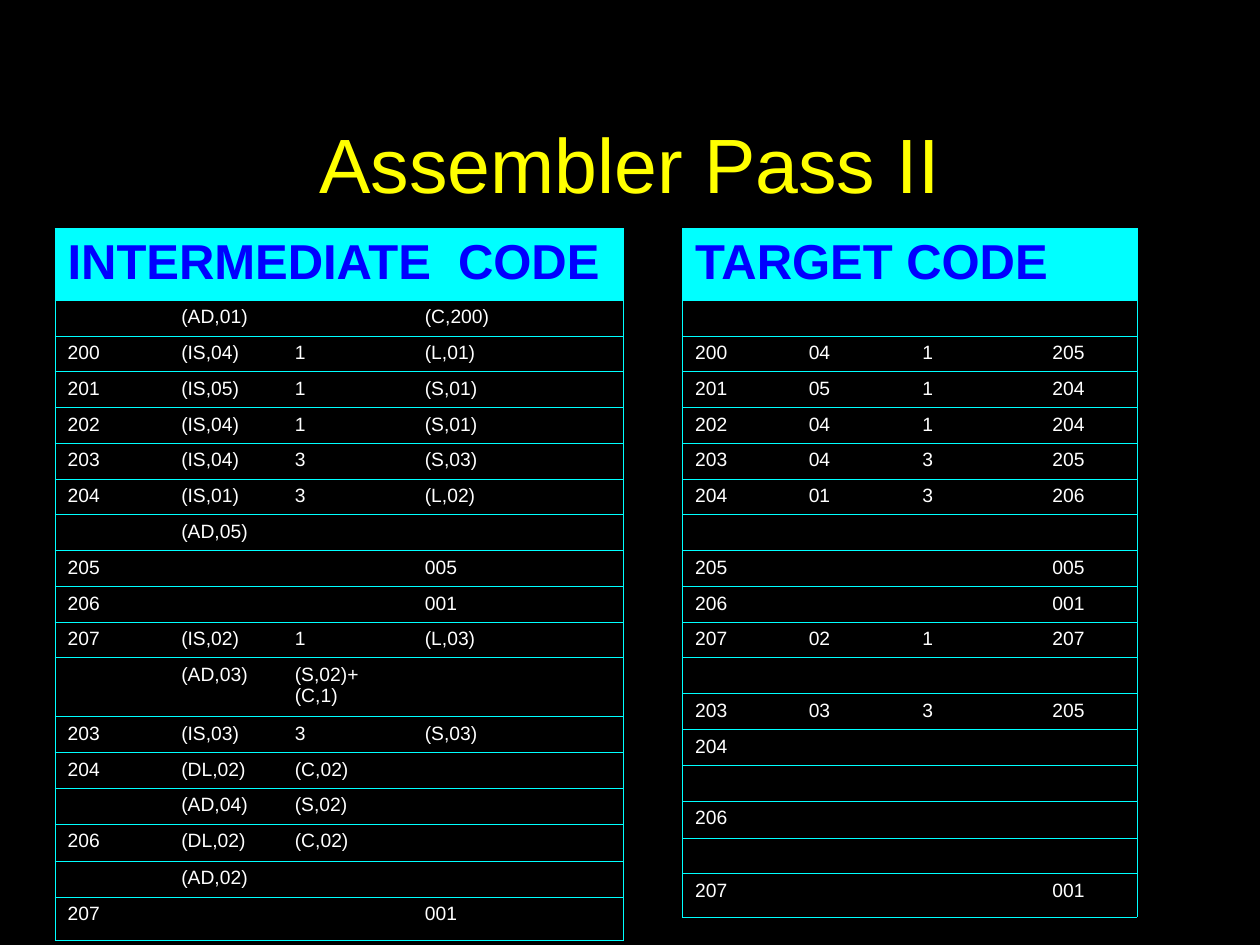
import pptx
import pptx.util
import pptx.dml.color
import pptx.enum.text
import pptx.oxml
import pptx.oxml.ns
from pptx.util import Cm


def color(hex_value):
    return pptx.dml.color.RGBColor.from_string(hex_value)


def write(paragraph, text, font_format):
    run = paragraph.add_run()
    run.text = text
    for name, value in font_format.items():
        if name == "color":
            run.font.color.rgb = color(value)
        else:
            setattr(run.font, name, value)


CYAN = "00FFFF"
TITLE = {"name": "Arial", "size": pptx.util.Pt(44), "color": "FFFF00"}
HEADING = {"name": "Arial", "size": pptx.util.Pt(28), "bold": True, "color": "0000FF"}
BODY = {"name": "Arial", "size": pptx.util.Pt(11), "bold": False, "color": "FFFFFF"}
NO_STYLE = "{2D5ABB26-0587-4C30-8999-92F81FD0307C}"

intermediate = [
    ["", "(AD,01)", "", "(C,200)", ""],
    ["200", "(IS,04)", "1", "(L,01)", ""],
    ["201", "(IS,05)", "1", "(S,01)", ""],
    ["202", "(IS,04)", "1", "(S,01)", ""],
    ["203", "(IS,04)", "3", "(S,03)", ""],
    ["204", "(IS,01)", "3", "(L,02)", ""],
    ["", "(AD,05)", "", "", ""],
    ["205", "", "", "005", ""],
    ["206", "", "", "001", ""],
    ["207", "(IS,02)", "1", "(L,03)", ""],
    ["", "(AD,03)", "(S,02)+(C,1)", "", ""],
    ["203", "(IS,03)", "3", "(S,03)", ""],
    ["204", "(DL,02)", "(C,02)", "", ""],
    ["", "(AD,04)", "(S,02)", "", ""],
    ["206", "(DL,02)", "(C,02)", "", ""],
    ["", "(AD,02)", "", "", ""],
    ["207", "", "", "001", ""],
]
target = [
    ["", "", "", ""],
    ["200", "04", "1", "205"],
    ["201", "05", "1", "204"],
    ["202", "04", "1", "204"],
    ["203", "04", "3", "205"],
    ["204", "01", "3", "206"],
    ["", "", "", ""],
    ["205", "", "", "005"],
    ["206", "", "", "001"],
    ["207", "02", "1", "207"],
    ["", "", "", ""],
    ["203", "03", "3", "205"],
    ["204", "", "", ""],
    ["", "", "", ""],
    ["206", "", "", ""],
    ["", "", "", ""],
    ["207", "", "", "001"],
]
column_widths = [2.29, 2.29, 2.62, 1.96, 2.29]
special_heights = {0: 1.38, 15: 0.75, 17: 0.87}

deck = pptx.Presentation()
deck.slide_width, deck.slide_height = Cm(25.4), Cm(19.05)
slide = deck.slides.add_slide(deck.slide_layouts[6])
slide.background.fill.solid()
slide.background.fill.fore_color.rgb = color("000000")

title = slide.shapes.add_textbox(Cm(1.9), Cm(1.7), Cm(21.6), Cm(3.18)).text_frame
title.word_wrap = True
title.vertical_anchor = pptx.enum.text.MSO_ANCHOR.MIDDLE
title.paragraphs[0].alignment = pptx.enum.text.PP_ALIGN.CENTER
write(title.paragraphs[0], "Assembler Pass II", TITLE)

for heading, code, left, extra_heights in [
    ("INTERMEDIATE  CODE", intermediate, 1.11, {11: 1.11}),
    ("TARGET CODE", target, 13.76, {}),
]:
    last = len(code[0]) - 1
    widths = column_widths[:last + 1]
    row_heights = special_heights | extra_heights
    heights = [row_heights.get(row, 0.7) for row in range(len(code) + 1)]
    table = slide.shapes.add_table(
        len(heights), len(widths), Cm(left), Cm(4.61), Cm(sum(widths)), Cm(sum(heights))
    ).table
    table.first_row = table.horz_banding = False
    table._tbl.tblPr.find(pptx.oxml.ns.qn("a:tableStyleId")).text = NO_STYLE
    for column, width in zip(table.columns, widths):
        column.width = Cm(width)
    for row, height in zip(table.rows, heights):
        row.height = Cm(height)
    table.cell(0, 0).merge(table.cell(0, last))

    for r, entries in enumerate([[heading] + [""] * last] + code):
        for c, text in enumerate(entries):
            cell = table.cell(r, c)
            paragraph = cell.text_frame.paragraphs[0]
            if text:
                write(paragraph, text, BODY if r else HEADING)
            else:
                paragraph._p.get_or_add_endParaRPr().set("sz", "1100")
            sides = ["lnL"] * (c == 0) + ["lnR"] * (c == last or r == 0) + ["lnT", "lnB"]
            for side in sides:
                cell._tc.get_or_add_tcPr().append(pptx.oxml.parse_xml(
                    f'<a:{side} {pptx.oxml.ns.nsdecls("a")} w="6350"><a:solidFill>'
                    f'<a:srgbClr val="{CYAN}"/></a:solidFill></a:{side}>'
                ))
            if r:
                cell.fill.background()
            else:
                cell.fill.solid()
                cell.fill.fore_color.rgb = color(CYAN)

deck.save("out.pptx")
